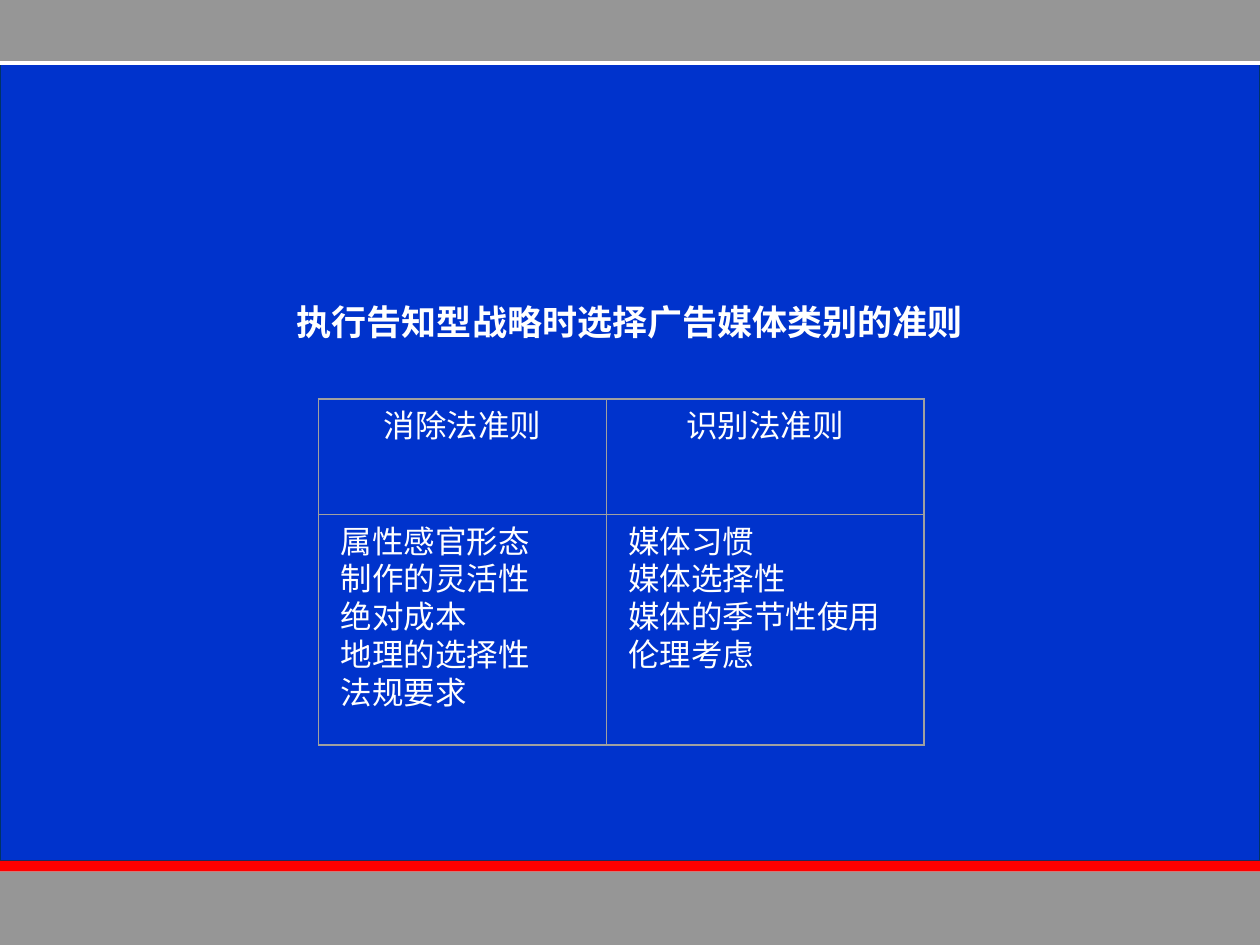
from typing import NamedTuple

from lxml.etree import SubElement
from pptx import Presentation
from pptx.dml.color import RGBColor
from pptx.enum.shapes import MSO_CONNECTOR, MSO_SHAPE
from pptx.enum.text import PP_ALIGN as Align
from pptx.oxml.ns import qn
from pptx.util import Pt

BLUE = RGBColor(0x00, 0x33, 0xCC)
NAVY = RGBColor(0x00, 0x33, 0x66)
GRAY = RGBColor(0x96, 0x96, 0x96)
RED = RGBColor(0xFF, 0x00, 0x00)
WHITE = RGBColor(0xFF, 0xFF, 0xFF)
GRID_GRAY = RGBColor(0xA0, 0xA0, 0xA0)

WIDTH, HEIGHT = 720, 540
HEADER_BOTTOM = 36
FONT = "Times New Roman"
OUTER, INNER = 1.25, 0.25
TABLE_LINE_PITCH = 21.6


class Band(NamedTuple):
    top: float
    height: float
    fill: RGBColor
    outline: RGBColor | None = None


class Criteria(NamedTuple):
    heading: str
    items: list[str]
    width: float


BANDS = [
    Band(HEADER_BOTTOM, 456, BLUE, NAVY),
    Band(0, HEADER_BOTTOM, GRAY),
    Band(498, 42, GRAY),
    Band(492, 6, RED),
]
CRITERIA = [
    Criteria("消除法准则",
             ["属性感官形态", "制作的灵活性", "绝对成本", "地理的选择性", "法规要求"], 164.5),
    Criteria("识别法准则",
             ["媒体习惯", "媒体选择性", "媒体的季节性使用", "伦理考虑"], 181.5),
]
ROW_HEIGHTS = [65.8, 131.7]


def write_text(frame, lines: list[str], *, size: float = 18, bold: bool = False,
               align: Align = Align.CENTER, pitch: float | None = None) -> None:
    """Write one paragraph per line; pitch is an exact line height in points."""
    frame.word_wrap = True
    for index, line in enumerate(lines):
        paragraph = frame.paragraphs[0] if index == 0 else frame.add_paragraph()
        paragraph.alignment = align
        if pitch is not None:
            paragraph.line_spacing = Pt(pitch)
        run = paragraph.add_run()
        run.text = line
        run.font.name = FONT
        run.font.size = Pt(size)
        run.font.bold = bold
        run.font.color.rgb = WHITE


def draw_band(shapes, band: Band) -> None:
    rect = shapes.add_shape(MSO_SHAPE.RECTANGLE, 0, Pt(band.top), Pt(WIDTH), Pt(band.height))
    rect.shadow.inherit = False
    rect.fill.solid()
    rect.fill.fore_color.rgb = band.fill
    if band.outline is None:
        rect.line.fill.background()
    else:
        rect.line.color.rgb = band.outline
        rect.line.width = Pt(0.75)


def draw_header_rule(shapes) -> None:
    rule = shapes.add_connector(MSO_CONNECTOR.STRAIGHT, 0, Pt(HEADER_BOTTOM),
                                Pt(WIDTH), Pt(HEADER_BOTTOM))
    rule.line.color.rgb = WHITE
    rule.line.width = Pt(2.25)
    SubElement(rule.element.spPr, qn("a:effectLst"))


def set_borders(cell, widths: dict[str, float]) -> None:
    """Put borders, keyed by side tag, ahead of the cell's fill."""
    properties = cell._tc.get_or_add_tcPr()
    for position, (side, width) in enumerate(widths.items()):
        border = SubElement(properties, qn(f"a:{side}"), w=str(Pt(width)))
        fill = SubElement(border, qn("a:solidFill"))
        SubElement(fill, qn("a:srgbClr"), val=str(GRID_GRAY))
        properties.insert(position, border)


def draw_criteria_table(shapes, left: float, top: float) -> None:
    last_row, last_column = len(ROW_HEIGHTS) - 1, len(CRITERIA) - 1
    frame = shapes.add_table(len(ROW_HEIGHTS), len(CRITERIA), Pt(left), Pt(top),
                             Pt(sum(c.width for c in CRITERIA)), Pt(sum(ROW_HEIGHTS)))
    table = frame.table
    table.first_row = table.horz_banding = False
    for row, height in zip(table.rows, ROW_HEIGHTS):
        row.height = Pt(height)
    for column, criteria in enumerate(CRITERIA):
        table.columns[column].width = Pt(criteria.width)
        contents = [([criteria.heading], Align.CENTER), (criteria.items, Align.JUSTIFY)]
        for row, (lines, align) in enumerate(contents):
            cell = table.cell(row, column)
            cell.margin_left = cell.margin_right = Pt(12.6)
            cell.margin_top = Pt(5.8)
            cell.margin_bottom = Pt(3.6)
            cell.fill.background()
            set_borders(cell, {
                "lnL": OUTER if column == 0 else INNER,
                "lnR": OUTER if column == last_column else INNER,
                "lnT": OUTER if row == 0 else INNER,
                "lnB": OUTER if row == last_row else INNER,
            })
            write_text(cell.text_frame, lines, align=align, pitch=TABLE_LINE_PITCH)


def main() -> None:
    deck = Presentation()
    deck.slide_width, deck.slide_height = Pt(WIDTH), Pt(HEIGHT)
    shapes = deck.slides.add_slide(deck.slide_layouts[6]).shapes
    for band in BANDS:
        draw_band(shapes, band)
    draw_header_rule(shapes)
    title = shapes.add_textbox(0, Pt(168), Pt(WIDTH), Pt(79))
    write_text(title.text_frame, ["执行告知型战略时选择广告媒体类别的准则"], size=20, bold=True)
    draw_criteria_table(shapes, 182, 228)
    deck.save("out.pptx")


if __name__ == "__main__":
    main()
